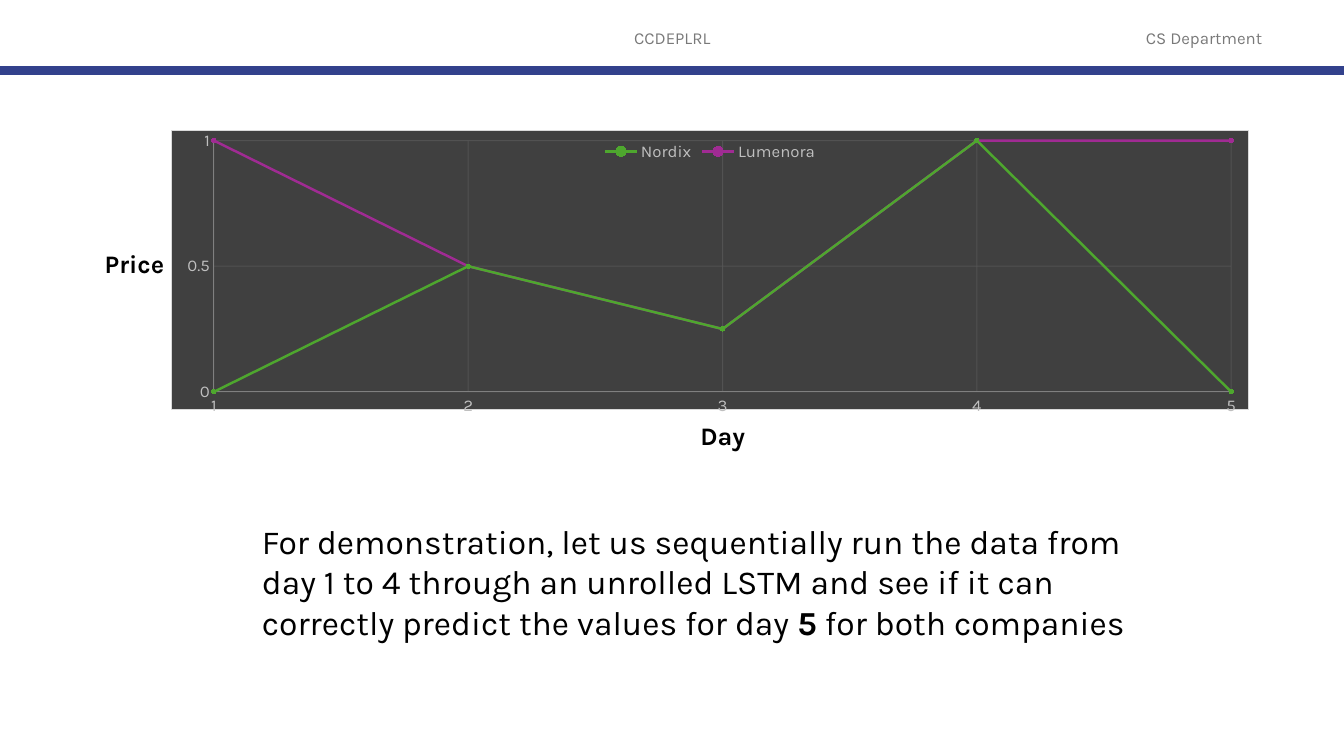
from dataclasses import dataclass

from lxml import etree
from pptx import Presentation
from pptx.chart.data import XyChartData
from pptx.dml.color import RGBColor
from pptx.enum.chart import XL_CHART_TYPE, XL_LEGEND_POSITION, XL_MARKER_STYLE, XL_TICK_MARK
from pptx.enum.shapes import MSO_CONNECTOR
from pptx.enum.text import MSO_ANCHOR, MSO_AUTO_SIZE, PP_ALIGN
from pptx.oxml import parse_xml
from pptx.oxml.ns import nsdecls, qn
from pptx.util import Inches, Pt

SCATTER = XL_CHART_TYPE.XY_SCATTER_LINES
CIRCLE = XL_MARKER_STYLE.CIRCLE
LEGEND_TOP = XL_LEGEND_POSITION.TOP
NO_TICKS = XL_TICK_MARK.NONE
STRAIGHT = MSO_CONNECTOR.STRAIGHT
MIDDLE, TOP = MSO_ANCHOR.MIDDLE, MSO_ANCHOR.TOP
GROW, FIXED = MSO_AUTO_SIZE.SHAPE_TO_FIT_TEXT, MSO_AUTO_SIZE.NONE
CENTER, LEFT = PP_ALIGN.CENTER, PP_ALIGN.LEFT

FONT = "Karla"
SLIDE_WIDTH, SLIDE_HEIGHT = Inches(13.33), Inches(7.5)
BLACK, HEADER_GREY, RULE_BLUE = "000000", "797979", "32418C"
PANEL, PANEL_BORDER = "404040", "D9D9D9"
AXIS_TEXT, AXIS_LINE, GRID_LINE = "BFBFBF", "808080", "595959"


@dataclass(frozen=True)
class Area:
    """A rectangle in percent of the slide's width and height."""
    left: float
    top: float
    width: float
    height: float

    def box(self) -> tuple[int, int, int, int]:
        """Return the rectangle in slide units."""
        return (across(self.left), down(self.top), across(self.width), down(self.height))


@dataclass(frozen=True)
class Caption:
    """A text whose phrases are pairs of wording and boldness."""
    area: Area
    phrases: tuple[tuple[str, bool], ...]
    size: int
    color: str = BLACK
    header: bool = False


@dataclass(frozen=True)
class Stock:
    """The daily prices of one company."""
    name: str
    color: str
    prices: tuple[float, ...]


CHART_AREA = Area(12.75, 17.2, 80.18, 37.73)
RULE_ROW = 9.33
CAPTIONS = (
    Caption(Area(33.15, 2.27, 33.75, 5.33), (("CCDEPLRL", False),), 12, HEADER_GREY, True),
    Caption(Area(81.9, 2.27, 15.38, 5.33), (("CS Department", False),), 12, HEADER_GREY, True),
    Caption(Area(7.05, 32.13, 7.5, 5.33), (("Price", True),), 18),
    Caption(Area(51.38, 54.93, 6.08, 5.33), (("Day", True),), 18),
    Caption(Area(18.75, 68.27, 68.18, 17.47), (
        ("For demonstration, let us sequentially run the data from day 1 to 4 through an "
         "unrolled LSTM and see if it can correctly predict the values for day ", False),
        ("5", True),
        (" for both companies", False)), 24),
)
STOCKS = (
    Stock("Nordix", "4EA72E", (0, 0.5, 0.25, 1, 0)),
    Stock("Lumenora", "A02B93", (1, 0.5, 0.25, 1, 1)),
)


def across(percent: float) -> int:
    """Convert a share of the slide's width."""
    return round(SLIDE_WIDTH * percent / 100)


def down(percent: float) -> int:
    """Convert a share of the slide's height."""
    return round(SLIDE_HEIGHT * percent / 100)


def rgb(value: str) -> RGBColor:
    """Convert a hex string to a colour."""
    return RGBColor.from_string(value)


def style_font(font, size: int, color: str, bold: bool = False) -> None:
    """Set face, size, colour and weight."""
    font.name, font.size, font.bold = FONT, Pt(size), bold
    font.color.rgb = rgb(color)


def style_line(line, color: str, width: float) -> None:
    """Set colour and width of a line."""
    line.color.rgb = rgb(color)
    line.width = Pt(width)


def add_caption(slide, caption: Caption) -> None:
    """Write one caption on the slide."""
    frame = slide.shapes.add_textbox(*caption.area.box()).text_frame
    frame.word_wrap = True
    frame.auto_size = FIXED if caption.header else GROW
    frame.vertical_anchor = MIDDLE if caption.header else TOP
    paragraph = frame.paragraphs[0]
    paragraph.alignment = CENTER if caption.header else LEFT
    for wording, bold in caption.phrases:
        run = paragraph.add_run()
        run.text = wording
        style_font(run.font, caption.size, caption.color, bold)


def add_header_rule(slide) -> None:
    """Draw the rule below the header."""
    rule = slide.shapes.add_connector(STRAIGHT, 0, down(RULE_ROW), SLIDE_WIDTH, down(RULE_ROW))
    style_line(rule.line, RULE_BLUE, 6)
    etree.SubElement(rule.element.spPr, qn("a:effectLst"))


def style_axis(axis, low: float, high: float, step: float) -> None:
    """Set the scale and look of an axis."""
    axis.minimum_scale, axis.maximum_scale, axis.major_unit = low, high, step
    axis.major_tick_mark = axis.minor_tick_mark = NO_TICKS
    axis.has_major_gridlines = True
    style_line(axis.format.line, AXIS_LINE, 0.75)
    style_line(axis.major_gridlines.format.line, GRID_LINE, 0.75)
    style_font(axis.tick_labels.font, 12, AXIS_TEXT)
    axis.tick_labels.number_format = "General"
    axis.tick_labels.number_format_is_linked = False


def style_panel(chart_space) -> None:
    """Set the panel, the plot position and the grid transparency."""
    chart_space.find(qn("c:chart")).addnext(parse_xml(
        f'<c:spPr {nsdecls("c", "a")}>'
        f'<a:solidFill><a:srgbClr val="{PANEL}"/></a:solidFill>'
        f'<a:ln w="{Pt(0.75)}"><a:solidFill><a:srgbClr val="{PANEL_BORDER}"/></a:solidFill></a:ln>'
        '</c:spPr>'))
    plot_area = next(chart_space.iter(qn("c:plotArea")))
    for layout in plot_area.findall(qn("c:layout")):
        plot_area.remove(layout)
    plot_area.insert(0, parse_xml(
        f'<c:layout {nsdecls("c")}><c:manualLayout><c:layoutTarget val="inner"/>'
        '<c:xMode val="edge"/><c:yMode val="edge"/><c:x val="0.039"/><c:y val="0.036"/>'
        '<c:w val="0.945"/><c:h val="0.9"/></c:manualLayout></c:layout>'))
    for grid in chart_space.iter(qn("c:majorGridlines")):
        for color in grid.iter(qn("a:srgbClr")):
            etree.SubElement(color, qn("a:alpha")).set("val", "75000")


def add_price_chart(slide) -> None:
    """Plot the prices of both companies by day."""
    data = XyChartData()
    for stock in STOCKS:
        points = data.add_series(stock.name)
        for day, price in enumerate(stock.prices, 1):
            points.add_data_point(day, price)
    chart = slide.shapes.add_chart(SCATTER, *CHART_AREA.box(), data).chart
    style_font(chart.font, 10, BLACK)
    chart.has_title = False
    chart.has_legend = True
    chart.legend.position = LEGEND_TOP
    chart.legend.include_in_layout = False
    style_font(chart.legend.font, 12, AXIS_TEXT)
    style_axis(chart.category_axis, 1, 5, 1)
    style_axis(chart.value_axis, 0, 1, 0.5)
    chart.plots[0].vary_by_categories = False
    for series, stock in zip(chart.plots[0].series, STOCKS):
        series.smooth = False
        style_line(series.format.line, stock.color, 1.75)
        series.marker.style, series.marker.size = CIRCLE, 3
        series.marker.format.fill.solid()
        series.marker.format.fill.fore_color.rgb = rgb(stock.color)
        style_line(series.marker.format.line, stock.color, 0.75)
    style_panel(chart.element)


def main() -> None:
    """Build and save the slide."""
    deck = Presentation()
    deck.slide_width, deck.slide_height = SLIDE_WIDTH, SLIDE_HEIGHT
    slide = deck.slides.add_slide(deck.slide_layouts[6])
    add_header_rule(slide)
    add_price_chart(slide)
    for caption in CAPTIONS:
        add_caption(slide, caption)
    deck.save("out.pptx")


if __name__ == "__main__":
    main()
